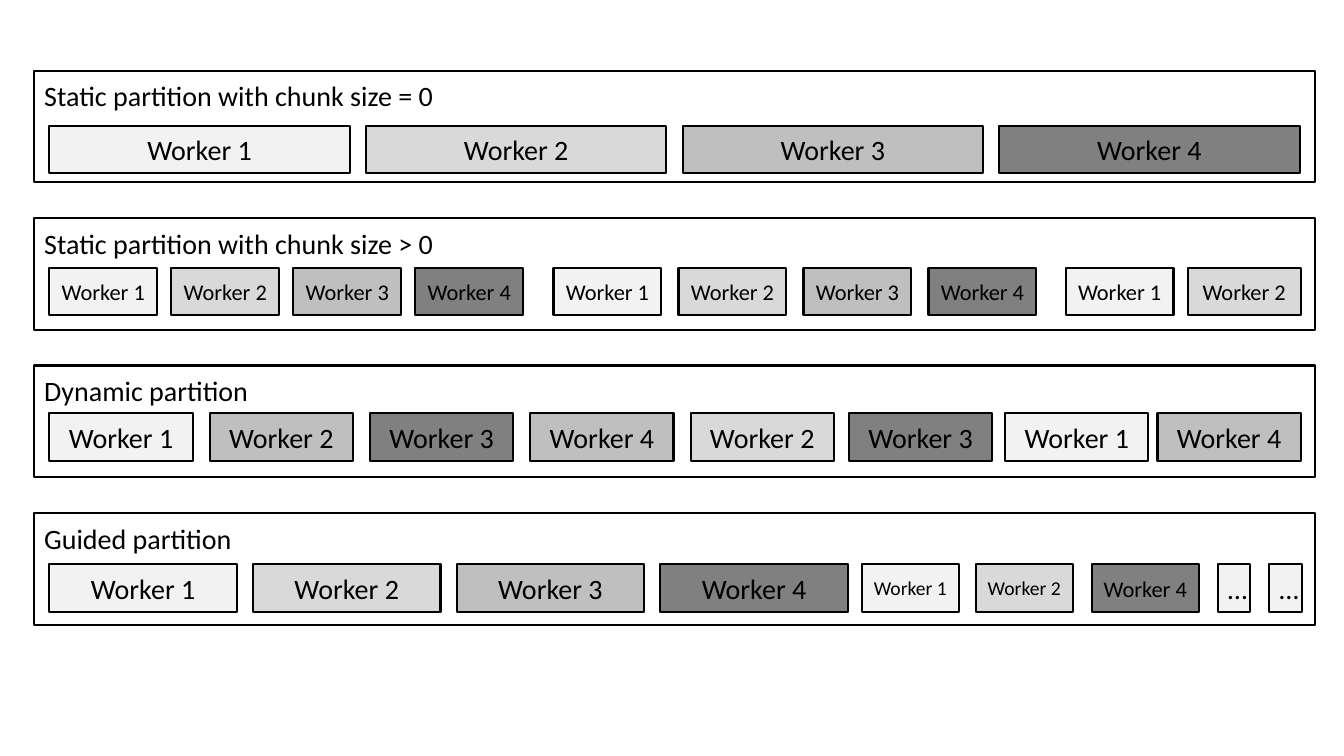
from pptx import Presentation
from pptx import util as u
from pptx.dml.color import RGBColor
from pptx.enum import shapes, text

THEME = {
    "font": "Calibri", "ink": "000000", "line": 1.5,
    "large": 20, "medium": 16, "small": 14,
    "light": "F2F2F2", "pale": "D9D9D9", "mid": "BFBFBF", "dark": "808080",
}
SHADES = ["light", "pale", "mid", "dark"]
LARGE, MEDIUM, SMALL = "large", "medium", "small"


def add_box(s, label, left, top, width, height, fill=None, size=LARGE,
            align=text.PP_ALIGN.CENTER, anchor=text.MSO_ANCHOR.MIDDLE):
    sp = s.shapes.add_shape(shapes.MSO_SHAPE.RECTANGLE, u.Inches(left), u.Inches(top),
                            u.Inches(width), u.Inches(height))
    sp.shadow.inherit = False
    if fill:
        sp.fill.solid()
        sp.fill.fore_color.rgb = RGBColor.from_string(THEME[fill])
    else:
        sp.fill.background()
    sp.line.color.rgb = RGBColor.from_string(THEME["ink"])
    sp.line.width = u.Pt(THEME["line"])
    tf = sp.text_frame
    tf.word_wrap = True
    tf.vertical_anchor = anchor
    tf.margin_top = u.Inches(0.08 if anchor == text.MSO_ANCHOR.TOP else 0.05)
    p = tf.paragraphs[0]
    p.alignment = align
    r = p.add_run()
    r.text = label
    r.font.name = THEME["font"]
    r.font.size = u.Pt(THEME[size])
    r.font.color.rgb = RGBColor.from_string(THEME["ink"])


prs = Presentation()
prs.slide_width, prs.slide_height = u.Inches(13.33), u.Inches(7.5)
s = prs.slides.add_slide(prs.slide_layouts[6])

# Each run: workers, first left, pitch, width, type size, shades
partitions = [
    ("Static partition with chunk size = 0", 1.25, [
        ([1, 2, 3, 4], 0.49, 3.14, 2.98, LARGE, SHADES),
    ]),
    ("Static partition with chunk size > 0", 2.66, [
        ([1, 2, 3, 4], 0.49, 1.21, 1.07, MEDIUM, SHADES),
        ([1, 2, 3, 4], 5.49, 1.24, 1.07, MEDIUM, SHADES),
        ([1], 10.57, 0, 1.07, MEDIUM, SHADES),
        ([2], 11.78, 0, 1.12, MEDIUM, ["pale"]),
    ]),
    ("Dynamic partition", 4.1, [
        ([1, 2, 3, 4, 2], 0.49, 1.59, 1.42, LARGE, ["light", "mid", "dark", "mid", "pale"]),
        ([3, 1], 8.42, 1.55, 1.42, LARGE, ["dark", "light"]),
        ([4], 11.48, 0, 1.42, LARGE, ["mid"]),
    ]),
    ("Guided partition", 5.6, [
        ([1, 2, 3, 4], 0.49, 2.02, 1.86, LARGE, SHADES),
        ([1, 2], 8.55, 1.13, 0.96, SMALL, SHADES),
        ([4], 10.83, 0, 1.06, MEDIUM, ["dark"]),
        ([None, None], 12.08, 0.51, 0.32, LARGE, ["light", "light"]),
    ]),
]

for row, (heading, bar_top, runs) in enumerate(partitions):
    add_box(s, heading, 0.34, 0.7 + 1.463 * row, 12.7, 1.11,
            align=text.PP_ALIGN.LEFT, anchor=text.MSO_ANCHOR.TOP)
    for workers, left, pitch, width, size, shades in runs:
        for i, (worker, shade) in enumerate(zip(workers, shades)):
            label = f"Worker {worker}" if worker else "…"
            add_box(s, label, left + pitch * i, bar_top, width, 0.47, fill=shade, size=size)

prs.save("out.pptx")
